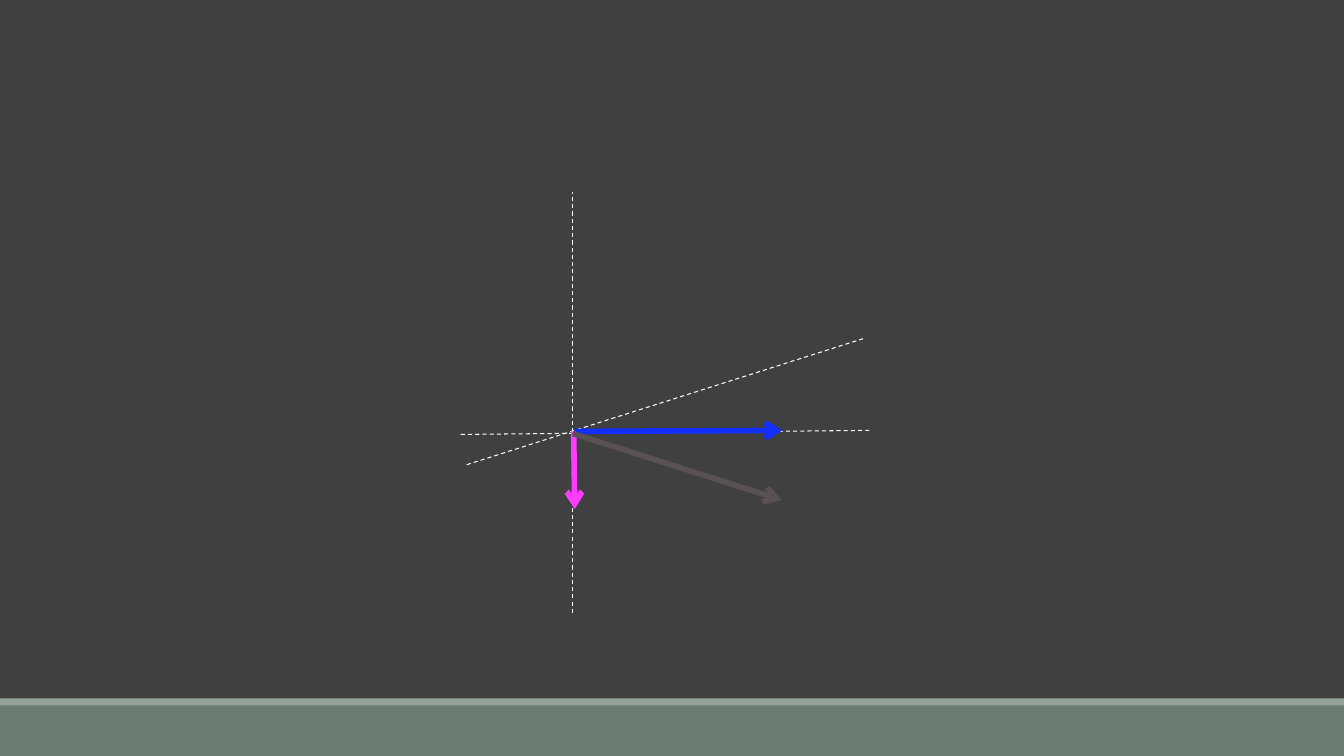
from lxml import etree
from pptx import Presentation
from pptx.dml.color import RGBColor
from pptx.enum.dml import MSO_LINE
from pptx.enum.shapes import MSO_CONNECTOR, MSO_SHAPE
from pptx.oxml.ns import qn
from pptx.util import Inches, Pt

STRAIGHT = MSO_CONNECTOR.STRAIGHT
RECTANGLE = MSO_SHAPE.RECTANGLE
DASH = MSO_LINE.DASH

# The grid has ten columns and ten rows to the inch.
COLUMNS, ROWS = 133.3, 75
FOOTER_TOP, STRIP_HEIGHT = 70, 0.7

BACKGROUND, FOOTER, STRIP = "404040", "6B7D72", "93A299"
AXIS, MAGENTA, BLUE, GREY = "FFFFFF", "FF3BFF", "132FFD", "5A5155"


def grid(count):
    return Inches(count / 10)


def color(hex_value):
    return RGBColor.from_string(hex_value)


def add_band(slide, top, height, fill):
    """Add a bar across the full width of the slide."""
    shape = slide.shapes.add_shape(
        RECTANGLE, 0, grid(top), grid(COLUMNS), grid(height))
    shape.shadow.inherit = False
    shape.fill.solid()
    shape.fill.fore_color.rgb = color(fill)
    shape.line.fill.background()


def add_line(shapes, start, end, line_color, width):
    connector = shapes.add_connector(
        STRAIGHT, *(grid(count) for count in (*start, *end)))
    connector.line.color.rgb = color(line_color)
    connector.line.width = Pt(width)
    etree.SubElement(connector._element.spPr, qn("a:effectLst"))
    return connector


def add_axis(shapes, start, end):
    add_line(shapes, start, end, AXIS, 0.75).line.dash_style = DASH


def add_vector(shapes, tip, tail, line_color):
    """Add a thick arrow whose head is at its first point."""
    connector = add_line(shapes, tip, tail, line_color, 4)
    line = connector.line._get_or_add_ln()
    etree.SubElement(line, qn("a:headEnd"), type="arrow")


def main():
    presentation = Presentation()
    presentation.slide_width = grid(COLUMNS)
    presentation.slide_height = grid(ROWS)
    slide = presentation.slides.add_slide(presentation.slide_layouts[6])
    slide.background.fill.solid()
    slide.background.fill.fore_color.rgb = color(BACKGROUND)

    add_band(slide, FOOTER_TOP, ROWS - FOOTER_TOP, FOOTER)
    add_band(slide, FOOTER_TOP - STRIP_HEIGHT, STRIP_HEIGHT, STRIP)

    add_axis(slide.shapes, (56.8, 60.8), (56.8, 19))
    floor_axes = slide.shapes.add_group_shape().shapes
    add_axis(floor_axes, (46.3, 46.1), (85.6, 33.6))
    add_axis(floor_axes, (45.7, 43.1), (86.2, 42.7))

    add_vector(slide.shapes, (57, 50.5), (56.9, 42.8), MAGENTA)
    add_vector(slide.shapes, (77.6, 42.7), (57, 42.8), BLUE)
    add_vector(slide.shapes, (77.5, 49.6), (56.8, 43), GREY)

    presentation.save("out.pptx")


if __name__ == "__main__":
    main()
